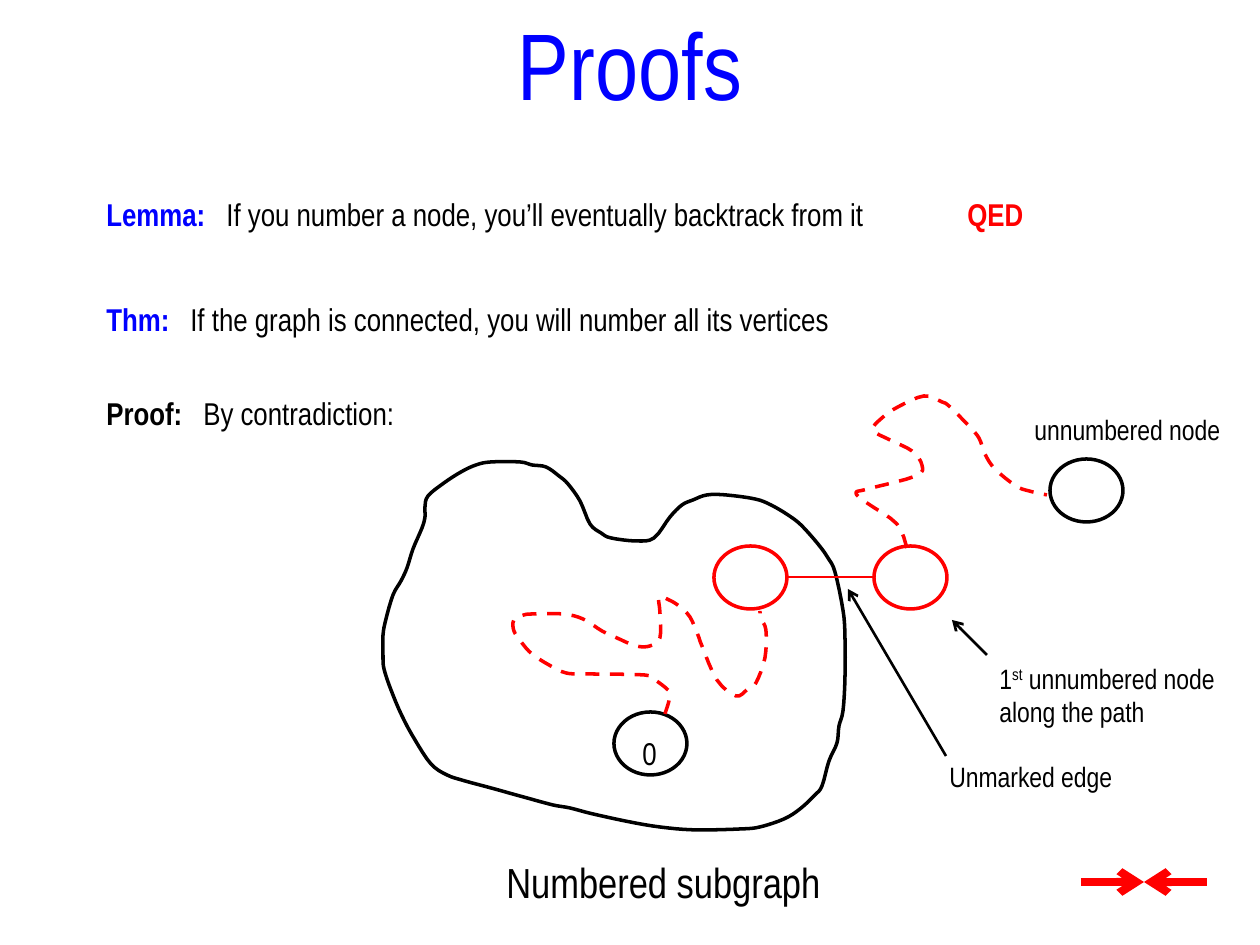
from lxml import etree
from pptx import Presentation
from pptx import util as u
from pptx.dml.color import RGBColor
from pptx.enum import dml, shapes, text
from pptx.oxml import ns

PX = 914400 / 126
COLORS = {"blue": "0000FF", "red": "FF0000", "black": "000000"}

SUBGRAPH = [
    (45, 127), (42, 138), (33, 159), (27, 178), (21, 191), (13, 205), (6, 229),
    (3, 245), (3, 266), (4, 279), (11, 300), (22, 326), (35, 350), (51, 374),
    (67, 385), (85, 391), (111, 398), (147, 408), (173, 415), (190, 418),
    (213, 424), (255, 433), (288, 438), (319, 440), (361, 439), (380, 437),
    (404, 429), (420, 419), (435, 405), (442, 396), (449, 371), (457, 353),
    (459, 336), (463, 321), (465, 289), (465, 246), (463, 220), (455, 182),
    (448, 168), (438, 154), (421, 135), (408, 125), (391, 115), (375, 109),
    (346, 105), (327, 105), (313, 110), (302, 115), (290, 127), (274, 148),
    (256, 151), (231, 148), (221, 143), (210, 134), (200, 111), (188, 94),
    (179, 86), (166, 77), (152, 75), (140, 72), (111, 72), (96, 75), (81, 82),
    (64, 93), (48, 106), (45, 117),
]
INNER_PATH = [
    (285, 324), (289, 311), (289, 303), (287, 299), (275, 290), (264, 285),
    (206, 284), (186, 283), (169, 275), (152, 264), (142, 253), (134, 241),
    (134, 230), (144, 225), (154, 224), (183, 224), (203, 229), (222, 241),
    (237, 248), (256, 256), (270, 256), (280, 248), (280, 222), (279, 207),
    (289, 210), (299, 216), (310, 227), (318, 245), (322, 256), (337, 290),
    (356, 306), (368, 299), (376, 293), (385, 268), (386, 240), (381, 229),
    (380, 221),
]
OUTER_PATH = [
    (527, 158), (517, 134), (487, 113), (476, 103), (488, 99), (536, 86),
    (542, 75), (532, 61), (510, 50), (493, 40), (502, 28), (518, 17), (544, 6),
    (562, 12), (569, 16), (588, 35), (599, 48), (605, 64), (615, 79), (636, 96),
    (649, 101), (667, 105),
]


def px(value):
    """Turn px into EMU."""
    return u.Emu(round(value * PX))


def rgb(name):
    """Return the named colour."""
    return RGBColor.from_string(COLORS[name])


def add_text(slide, box, runs, size, tab=None, align=text.PP_ALIGN.LEFT):
    """Add a one-paragraph text box of (words, colour, bold, baseline) runs."""
    shape = slide.shapes.add_textbox(*map(px, box))
    frame = shape.text_frame
    frame.word_wrap = True
    frame.auto_size = text.MSO_AUTO_SIZE.SHAPE_TO_FIT_TEXT
    paragraph = frame.paragraphs[0]
    paragraph.alignment = align
    if tab:
        tabs = etree.SubElement(paragraph._p.get_or_add_pPr(), ns.qn("a:tabLst"))
        etree.SubElement(tabs, ns.qn("a:tab"), pos=str(px(tab)), algn="l")
    for words, color, bold, baseline in runs:
        run = paragraph.add_run()
        run.text = words
        values = {"name": "Arial Narrow", "size": u.Pt(size), "bold": bold}
        for name, value in values.items():
            setattr(run.font, name, value)
        run.font.color.rgb = rgb(color)
        if baseline:
            run._r.get_or_add_rPr().set("baseline", str(baseline))


def set_line(shape, color, width, dash=None):
    """Set the line of a shape or connector."""
    shape.line.color.rgb = rgb(color)
    for name, value in {"width": u.Pt(width), "dash_style": dash}.items():
        setattr(shape.line, name, value)


def add_line(slide, start, end, color, width, arrow=True):
    """Add a straight line, with an open arrowhead at its end if asked."""
    line = slide.shapes.add_connector(
        shapes.MSO_CONNECTOR.STRAIGHT, *map(px, (*start, *end)))
    set_line(line, color, width)
    if arrow:
        etree.SubElement(line.line._get_or_add_ln(), ns.qn("a:tailEnd"), type="arrow")
    etree.SubElement(line._element.spPr, ns.qn("a:effectLst"))


def add_node(slide, left, top, color):
    """Add an unfilled graph node."""
    node = slide.shapes.add_shape(
        shapes.MSO_SHAPE.OVAL, *map(px, (left, top, 73, 63)))
    node.shadow.inherit = False
    node.fill.background()
    set_line(node, color, 2)


def smooth(knots, closed, steps=4):
    """Return points along a Catmull-Rom spline through the knots."""
    ends = (knots[-1:], knots[:2]) if closed else (knots[:1], knots[-1:])
    padded = ends[0] + knots + ends[1]
    points = [knots[0]]
    for a, b, c, d in zip(padded, padded[1:], padded[2:], padded[3:]):
        for step in range(1, steps + 1):
            t = step / steps
            points.append(tuple(
                q + t * (r - p + t * (2 * p - 5 * q + 4 * r - s
                                      + t * (3 * q - p - 3 * r + s))) / 2
                for p, q, r, s in zip(a, b, c, d)))
    return points


def add_curve(slide, left, top, knots, color, closed=False, dash=None):
    """Add an unfilled curve through knots given relative to left and top."""
    points = [(px(left + x), px(top + y)) for x, y in smooth(knots, closed)]
    builder = slide.shapes.build_freeform(*points[0])
    builder.add_line_segments(points[1:], close=closed)
    curve = builder.convert_to_shape()
    curve.shadow.inherit = False
    curve.fill.background()
    set_line(curve, color, 2, dash)


def add_title(slide, box):
    """Add the centred title."""
    add_text(slide, box, [("Proofs", "blue", False, 0)], 54,
             align=text.PP_ALIGN.CENTER)


def add_statements(slide, left, top, width):
    """Add the lemma, theorem and proof lines."""
    statements = [
        (0, "Lemma:", "blue", 120,
         "If you number a node, you’ll eventually backtrack from it"),
        (105, "Thm:", "blue", 84,
         "If the graph is connected, you will number all its vertices"),
        (199, "Proof:", "black", 97, "By contradiction:"),
    ]
    for offset, label, color, tab, words in statements:
        runs = [(label + "\t", color, True, 0), (words, "black", False, 0)]
        add_text(slide, (left, top + offset, width, 50), runs, 18, tab)
    add_text(slide, (left + 861, top, 116, 50), [("QED", "red", True, 0)], 18)


def add_diagram(slide, left, top):
    """Add the numbered subgraph, the path out of it and the labels."""
    add_curve(slide, left, top, SUBGRAPH, "black", closed=True)
    nodes = [(234, 322, "black"), (670, 69, "black"),
             (334, 156, "red"), (494, 156, "red")]
    for x, y, color in nodes:
        add_node(slide, left + x, top + y, color)
    add_line(slide, (left + 408, top + 187), (left + 494, top + 187),
             "red", 1.5, arrow=False)
    for knots in (INNER_PATH, OUTER_PATH):
        add_curve(slide, left, top, knots, "red", dash=dml.MSO_LINE.DASH)
    labels = [
        (250, 338, 32, 50, 18, [("0", 0)]),
        (114, 460, 341, 63, 24, [("Numbered subgraph", 0)]),
        (607, 265, 273, 81, 16,
         [("1", 0), ("st", 30000), (" unnumbered node along the path", 0)]),
        (642, 16, 242, 47, 16, [("unnumbered node", 0)]),
        (557, 363, 231, 47, 16, [("Unmarked edge", 0)]),
    ]
    for x, y, width, height, size, parts in labels:
        runs = [(words, "black", False, baseline) for words, baseline in parts]
        add_text(slide, (left + x, top + y, width, height), runs, size)
    for x1, y1, x2, y2 in [(607, 265, 572, 230), (566, 366, 468, 199)]:
        add_line(slide, (left + x1, top + y1), (left + x2, top + y2), "black", 1.5)


def add_contradiction(slide, left, middle, width):
    """Add two arrows meeting head to head."""
    for start in (left, left + width):
        add_line(slide, (start, middle), (left + width // 2, middle), "red", 4.5)


def main():
    """Build and save the slide."""
    presentation = Presentation()
    presentation.slide_width, presentation.slide_height = px(1260), px(945)
    slide = presentation.slides.add_slide(presentation.slide_layouts[6])
    add_title(slide, (441, 0, 378, 127))
    add_statements(slide, 94, 189, 829)
    add_diagram(slide, 380, 390)
    add_contradiction(slide, 1081, 882, 126)
    presentation.save("out.pptx")


if __name__ == "__main__":
    main()
